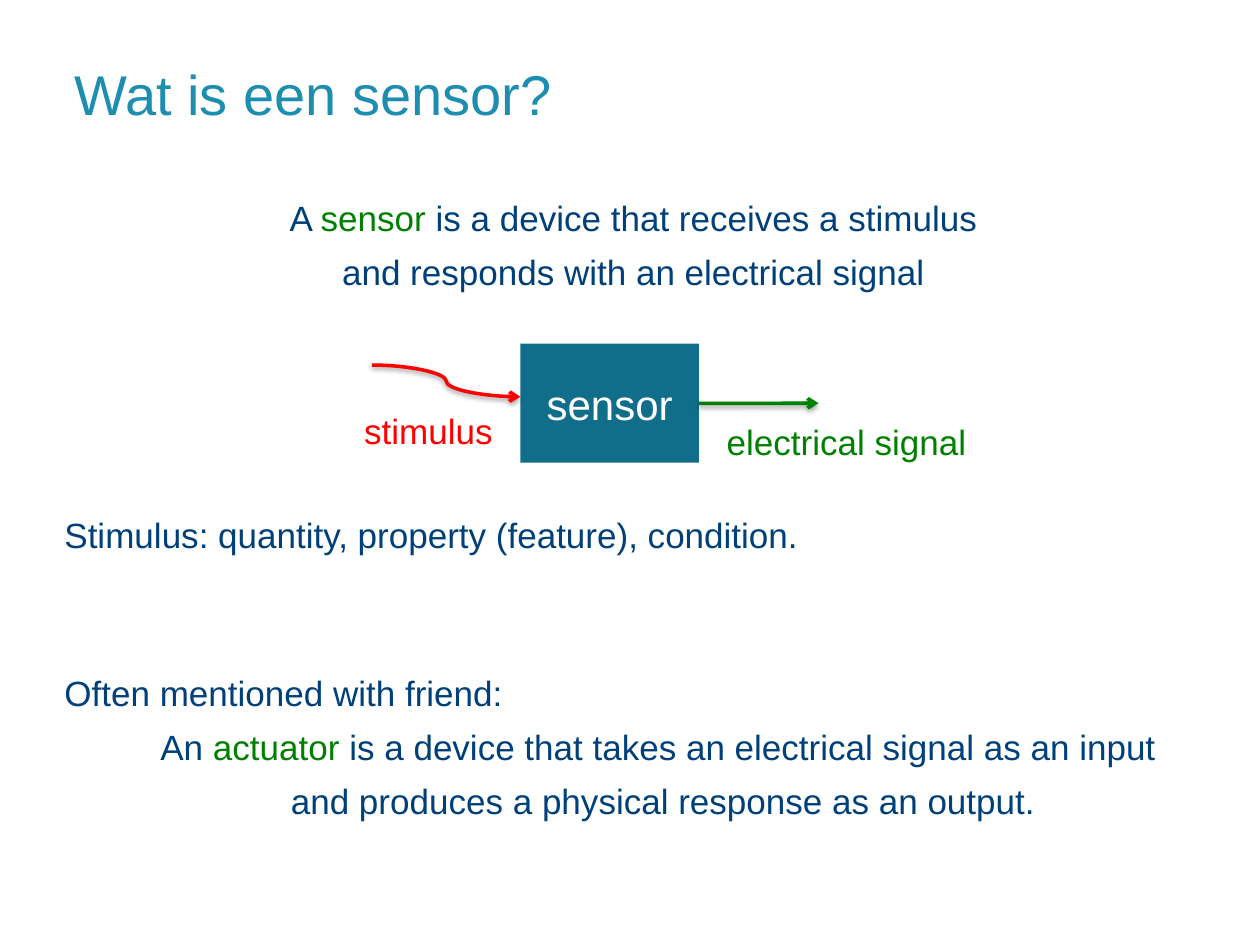
from lxml.etree import SubElement
from pptx import Presentation
from pptx.dml.color import RGBColor
from pptx.enum.shapes import MSO_CONNECTOR as Connector, MSO_SHAPE as Shape
from pptx.enum.text import MSO_ANCHOR as Anchor, PP_ALIGN as Align
from pptx.oxml.ns import qn
from pptx.util import Cm, Pt

THEME = {
    "font": "Arial",
    "title": "1D8DB0", "body": "00407A", "term": "008000",
    "stimulus": "FF0000", "box": "116E8A", "box_text": "FFFFFF", "shadow": "000000",
    "title_size": 32, "body_size": 20, "box_size": 24, "line_width": 2,
}
LINE_PITCH = 29.8  # points from one body line to the next
SPACE_BEFORE = 6.8
INDENT = Cm(1)

TITLE = "Wat is een sensor?"
# alignment, indent level, empty lines above, runs of (text, colour)
BODY = [
    (Align.CENTER, 0, 0, [("A ", "body"), ("sensor", "term"),
                          (" is a device that receives a stimulus ", "body")]),
    (Align.CENTER, 0, 0, [("and responds with an electrical signal ", "body")]),
    (Align.LEFT, 0, 4, [("Stimulus: quantity, property (feature), condition.", "body")]),
    (Align.LEFT, 0, 2, [("Often mentioned with friend:", "body")]),
    (Align.CENTER, 1, 0, [("An ", "body"), ("actuator", "term"),
                          (" is a device that takes an electrical signal as an input ", "body")]),
    (Align.CENTER, 1, 0, [("and produces a physical response as an output.", "body")]),
]
# left, top, width, height in centimetres
TITLE_AREA = (1.5, 0.5, 23.14, 2.06)
BODY_AREA = (1.3, 3.97, 23.14, 13.96)
SENSOR_AREA = (10.49, 6.93, 3.6, 2.4)
LABELS = [
    ("electrical signal", "term", (14.4, 8.36, 5.38, 1.12)),
    ("stimulus", "stimulus", (7.09, 8.13, 3.12, 1.12)),
]
STIMULUS_START = (7.5, 7.36)
STIMULUS_END_Y = 8
SIGNAL_LENGTH = 2.41


def color(name):
    return RGBColor.from_string(THEME[name])


def add_run(paragraph, text, color_name, size_name):
    run = paragraph.add_run()
    run.text = text
    run.font.name = THEME["font"]
    run.font.size = Pt(THEME[size_name])
    run.font.color.rgb = color(color_name)


def add_text_box(slide, area, wrap=True, margin=None, anchor=Anchor.TOP):
    frame = slide.shapes.add_textbox(*map(Cm, area)).text_frame
    frame.word_wrap = wrap
    frame.vertical_anchor = anchor
    if margin is not None:
        frame.margin_left = frame.margin_right = margin
        frame.margin_top = frame.margin_bottom = margin
    return frame


def add_body(slide):
    frame = add_text_box(slide, BODY_AREA, margin=0)
    for index, (alignment, level, empty_lines, runs) in enumerate(BODY):
        paragraph = frame.add_paragraph() if index else frame.paragraphs[0]
        paragraph.alignment = alignment
        if level:
            paragraph.level = level
            properties = paragraph._p.get_or_add_pPr()
            properties.set("marL", str(INDENT * level))
            properties.set("indent", "0")
        if index:
            paragraph.space_before = Pt(SPACE_BEFORE + empty_lines * LINE_PITCH)
        for text, color_name in runs:
            add_run(paragraph, text, color_name, "body_size")


def add_sensor(slide):
    shape = slide.shapes.add_shape(Shape.RECTANGLE, *map(Cm, SENSOR_AREA))
    shape.shadow.inherit = False
    shape.fill.solid()
    shape.fill.fore_color.rgb = color("box")
    shape.line.fill.background()
    shape.text_frame.vertical_anchor = Anchor.MIDDLE
    paragraph = shape.text_frame.paragraphs[0]
    paragraph.alignment = Align.CENTER
    add_run(paragraph, "sensor", "box_text", "box_size")
    return shape


def add_arrow(slide, kind, start, end, color_name):
    """Draw a connector with an open arrowhead and a soft shadow below."""
    arrow = slide.shapes.add_connector(kind, *map(Cm, start + end))
    arrow.line.color.rgb = color(color_name)
    arrow.line.width = Pt(THEME["line_width"])
    SubElement(arrow.line._get_or_add_ln(), qn("a:tailEnd"), type="arrow")
    effects = SubElement(arrow._element.spPr, qn("a:effectLst"))
    shadow = SubElement(effects, qn("a:outerShdw"), blurRad=str(Pt(3.1)),
                        dist=str(Pt(1.6)), dir="5400000", rotWithShape="0")
    shade = SubElement(shadow, qn("a:srgbClr"), val=THEME["shadow"])
    SubElement(shade, qn("a:alpha"), val="38000")
    return arrow


def main():
    presentation = Presentation()
    presentation.slide_width, presentation.slide_height = Cm(25.4), Cm(19.05)
    slide = presentation.slides.add_slide(presentation.slide_layouts[6])

    title = add_text_box(slide, TITLE_AREA, margin=0, anchor=Anchor.BOTTOM)
    add_run(title.paragraphs[0], TITLE, "title", "title_size")
    add_body(slide)

    sensor = add_sensor(slide)
    left, top, width, height = SENSOR_AREA
    right, middle = left + width, top + height / 2
    add_arrow(slide, Connector.CURVE, STIMULUS_START, (left, STIMULUS_END_Y), "stimulus")
    signal = add_arrow(slide, Connector.STRAIGHT, (right, middle),
                       (right + SIGNAL_LENGTH, middle), "term")
    signal.begin_connect(sensor, 3)

    for text, color_name, area in LABELS:
        label = add_text_box(slide, area, wrap=False)
        add_run(label.paragraphs[0], text, color_name, "body_size")
    presentation.save("out.pptx")


if __name__ == "__main__":
    main()
